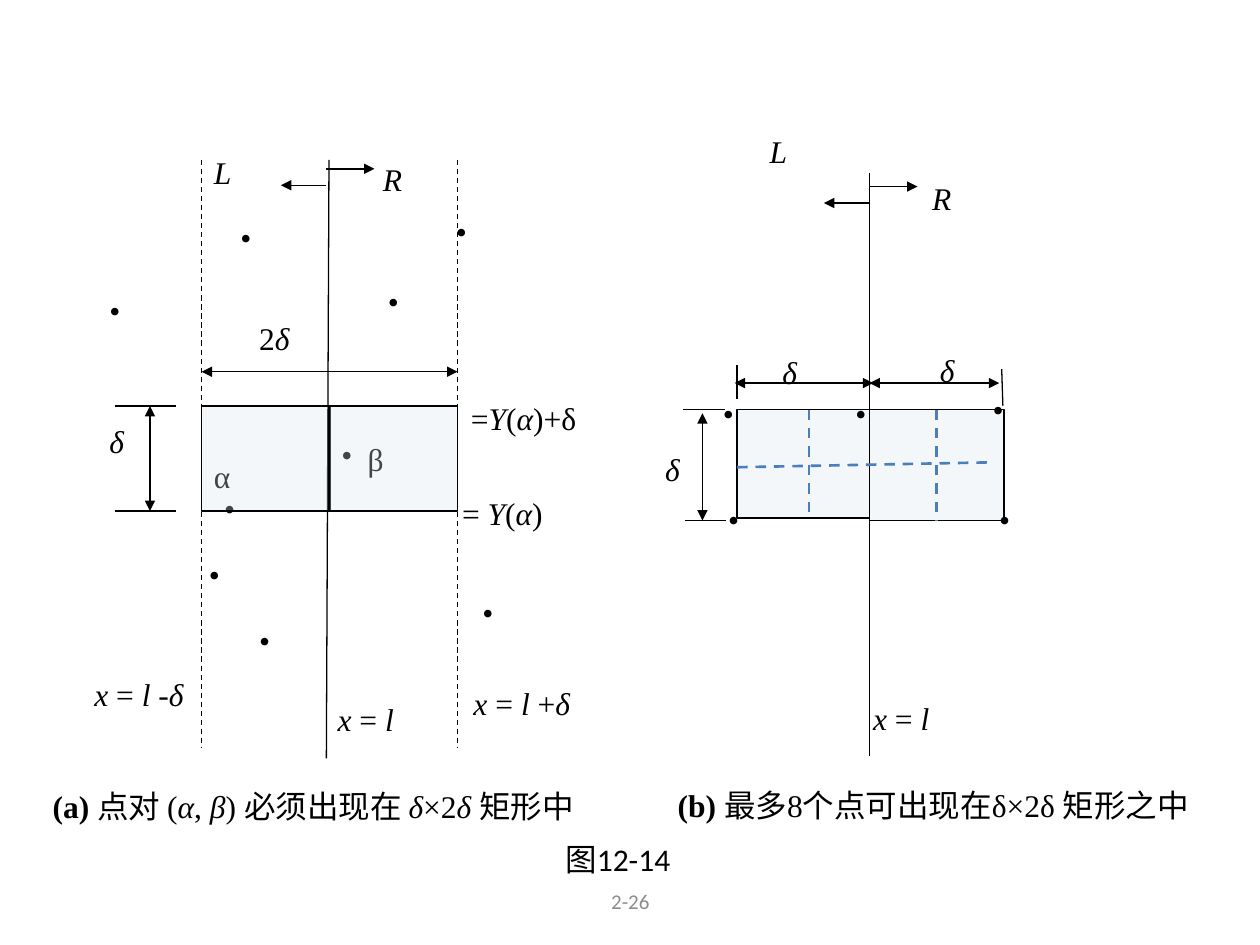
from dataclasses import dataclass

from lxml.etree import SubElement
from pptx import Presentation
from pptx.dml.color import RGBColor
from pptx.enum.dml import MSO_LINE
from pptx.enum.shapes import MSO_CONNECTOR as Conn, MSO_SHAPE as Kind
from pptx.enum.text import MSO_ANCHOR as Anchor, PP_ALIGN as Align
from pptx.oxml.ns import qn
from pptx.util import Pt


@dataclass(frozen=True)
class Theme:
    ink: RGBColor = RGBColor(0, 0, 0)
    gray: RGBColor = RGBColor(0x8C, 0x8C, 0x8C)
    tint: RGBColor = RGBColor(0xDB, 0xE5, 0xF1)
    blue: RGBColor = RGBColor(0x4B, 0x7E, 0xBC)
    serif: str = "Times New Roman"
    sans: str = "Calibri"
    size: float = 18
    small: float = 12
    thin: float = 0.75
    thick: float = 1.5


LOOK = Theme()


def style(item, form):
    for name, value in form.items():
        setattr(item, name, value)


def label(slide, x, y, text, wide=72, high=30, lead="", font=LOOK.serif,
          size=LOOK.size, color=LOOK.ink, align=Align.LEFT, anchor=Anchor.TOP):
    """Add text; parts between asterisks are italic, the lead is bold."""
    box = slide.shapes.add_textbox(Pt(x), Pt(y), Pt(wide), Pt(high))
    style(box.text_frame, {"word_wrap": True, "vertical_anchor": anchor})
    para = box.text_frame.paragraphs[0]
    para.alignment = align
    parts = [(lead, True, False)]
    parts += [(part, False, i % 2 == 1) for i, part in enumerate(text.split("*"))]
    for part, bold, slant in parts:
        if part:
            run = para.add_run()
            run.text = part
            style(run.font, {"name": font, "size": Pt(size), "bold": bold, "italic": slant})
            run.font.color.rgb = color


def dots(slide, spots):
    for x, y in spots:
        label(slide, x, y, "•")


def stroke(slide, x1, y1, x2, y2, ends="", dash=False, color=LOOK.ink, width=LOOK.thin):
    """Add a straight line; ends names the arrowheads: "tail" or "head tail"."""
    line = slide.shapes.add_connector(Conn.STRAIGHT, Pt(x1), Pt(y1), Pt(x2), Pt(y2))
    line.line.color.rgb = color
    line.line.width = Pt(width)
    if dash:
        line.line.dash_style = MSO_LINE.DASH
    for end in ends.split():
        SubElement(line.line._get_or_add_ln(), qn(f"a:{end}End"), type="triangle")
    SubElement(line._element.spPr, qn("a:effectLst"))
    return line


def cell(slide, x, y, wide, high):
    """Add a pale, mostly clear rectangle."""
    rect = slide.shapes.add_shape(Kind.RECTANGLE, Pt(x), Pt(y), Pt(wide), Pt(high))
    rect.shadow.inherit = False
    rect.fill.solid()
    rect.fill.fore_color.rgb = LOOK.tint
    tint = rect._element.spPr.find(f"{qn('a:solidFill')}/{qn('a:srgbClr')}")
    SubElement(tint, qn("a:alpha"), val="30000")
    rect.line.color.rgb = LOOK.ink
    rect.line.width = Pt(LOOK.thin)
    return rect


def sides(slide, x, y):
    """Add the arrows that point to the R and L sides of the dividing line."""
    stroke(slide, x, y, x + 27.5, y, "tail")
    stroke(slide, x, y + 9.4, x - 26, y + 9.4, "tail")


def pairs(slide):
    left, mid, right, top, base = 115.2, 188, 261.4, 232, 292
    dots(slide, [(141, 351.4), (268.6, 335.5), (130.3, 121), (253.4, 117.4),
                 (55.4, 162.7), (214.6, 157.7), (112.3, 313.9), (121, 275.8),
                 (188, 244.8)])
    for x, y, text in [(115.2, 84.2, "*L*"), (211.7, 87.8, "*R*"),
                       (203, 247.7, "β"), (115.2, 257.8, "α"),
                       (55.4, 237.6, "*δ*"), (141, 178.6, "2*δ*"),
                       (257, 278.6, "= *Y*(*α*)"), (185.8, 396.7, "*x *=* l*")]:
        label(slide, x, y, text)
    stroke(slide, mid, 91.4, 186.5, 433.4)
    sides(slide, 186.5, 96.5)
    for x in (left, mid):
        cell(slide, x, top, 73.4, base - top)
    for x in (left, right):
        stroke(slide, x, 91.4, x, 427, dash=True)
    stroke(slide, left, 212.4, right, 212.4, "head tail")
    for y in (top, base):
        stroke(slide, 65.5, y, 100.5, y)
    stroke(slide, 85.7, top, 85.7, base, "head tail")
    for x, y, text in [(262, 224.6, "=*Y*(*α*)+δ"), (46.8, 382.3, "*x* = *l *-*δ*"),
                       (263.5, 387.4, "*x* = *l *+*δ*")]:
        label(slide, x, y, text, wide=92)
    label(slide, 23, 446.4, "点对 (*α*, *β*) 必须出现在 *δ*×2*δ *矩形中",
          wide=345.6, lead="(a) ")


def limit(slide):
    left, mid, top, base = 421.2, 496.8, 234, 297.4
    cell(slide, left, top, mid - left, 62)
    east = cell(slide, mid, top, 77, base - top)
    stroke(slide, mid, 98.6, mid, 432)
    for x, y, text in [(491.8, 396, "*x *=* l*"), (432.7, 72, "*L*"),
                       (525.6, 98.6, "*R*"), (373, 253.4, "*δ*"),
                       (440, 198, "*δ*"), (530, 197.3, "*δ*")]:
        label(slide, x, y, text)
    sides(slide, mid, 106.6)
    stroke(slide, left, 208.8, left, 228.2)
    stroke(slide, 572.4, 211, 573.1, 231.8)
    stroke(slide, 390.2, top, 414, top)
    stroke(slide, 391.7, base, 414.7, base)
    stroke(slide, 401.4, 236.2, 401.4, base, "head tail")
    stroke(slide, 419.8, 218.9, 499, 218.9, "head tail")
    stroke(slide, mid, 218.9, 571, 218.9, "head tail")
    dots(slide, [(481.7, 221.8), (406, 221.8), (409, 282.2), (560.2, 219.6),
                 (563.8, 282.2)])
    label(slide, 380.2, 445.7, "最多8个点可出现在δ×2δ 矩形之中", wide=316, lead="(b) ")
    split = {"dash": True, "color": LOOK.blue, "width": LOOK.thick}
    stroke(slide, left, 267, 566.6, 264.2, **split)
    stroke(slide, 462.2, top, 462.2, 296.6, **split)
    half = stroke(slide, 535.3, top, 535.3, base, **split)
    half.begin_connect(east, 0)
    half.end_connect(east, 2)


def main():
    deck = Presentation()
    deck.slide_width, deck.slide_height = Pt(720), Pt(540)
    slide = deck.slides.add_slide(deck.slide_layouts[6])
    label(slide, 246.2, 500.4, "2-26", wide=228, high=28.8, font=LOOK.sans,
          size=LOOK.small, color=LOOK.gray, align=Align.CENTER, anchor=Anchor.MIDDLE)
    limit(slide)
    pairs(slide)
    label(slide, 316, 476.6, "图12-14", wide=75, font=LOOK.sans)
    deck.save("out.pptx")


if __name__ == "__main__":
    main()
